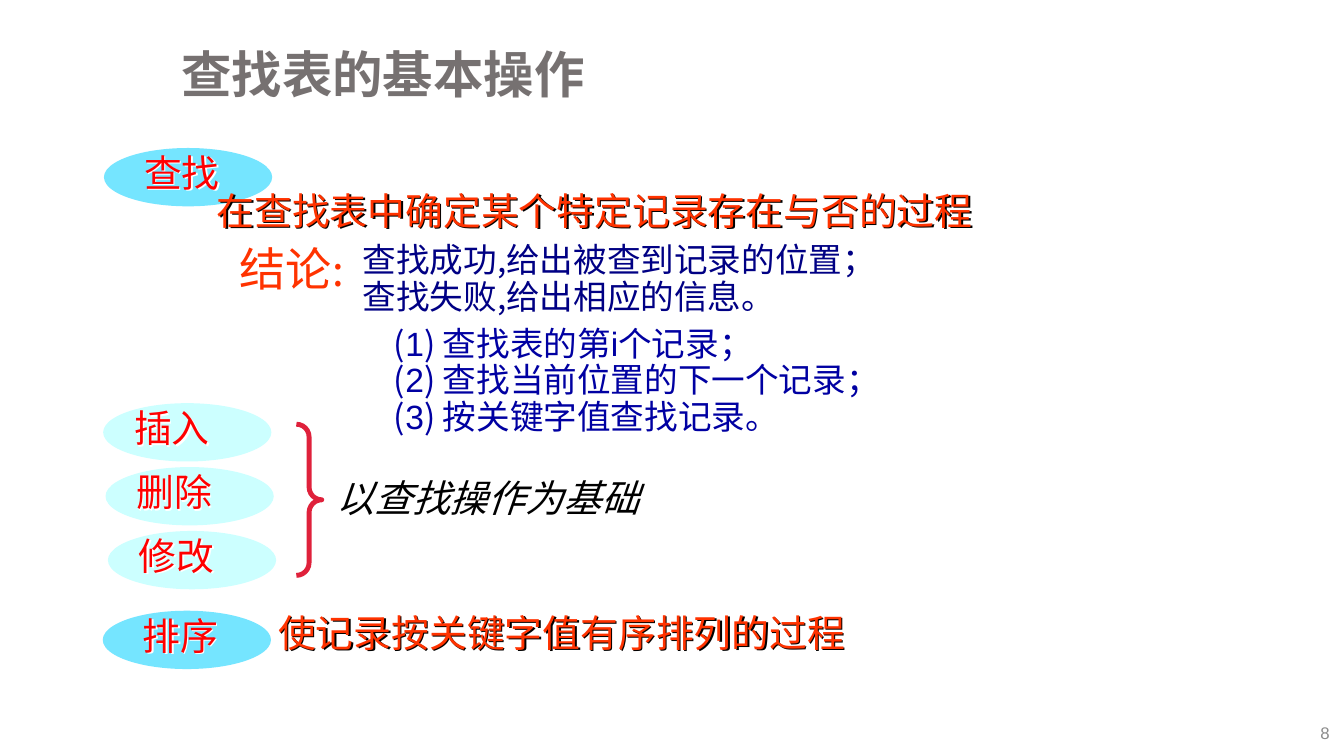
from itertools import groupby
from lxml.etree import SubElement
from pptx import Presentation
from pptx.dml.color import RGBColor
from pptx.enum.shapes import MSO_SHAPE
from pptx.enum.text import MSO_ANCHOR, PP_ALIGN
from pptx.oxml.ns import qn
from pptx.util import Cm, Pt

RED = RGBColor(0xFF, 0x00, 0x00)
ORANGE = RGBColor(0xFF, 0x33, 0x00)
NAVY = RGBColor(0x00, 0x00, 0x84)
BLUE = RGBColor(0x00, 0x00, 0xA2)
GREY = RGBColor(0x76, 0x71, 0x71)
SILVER = RGBColor(0x8C, 0x8C, 0x8C)
BLACK = RGBColor(0x00, 0x00, 0x00)
WHITE = RGBColor(0xFF, 0xFF, 0xFF)
CYAN = RGBColor(0x75, 0xE5, 0xFF)
PALE = RGBColor(0xCC, 0xFF, 0xFF)
CRIMSON = RGBColor(0xDF, 0x21, 0x3B)
LATIN = "Arial"
HAN = "Noto Sans CJK SC"


def add_run(para, words, size, color, bold=False, italic=False):
    for plain, chars in groupby(words, lambda c: c.isascii() and c.isalnum()):
        run = para.add_run()
        run.text = "".join(chars)
        font = run.font
        font.name = LATIN if plain else HAN
        font.size = Pt(size)
        font.bold = bold
        font.italic = italic
        font.color.rgb = color
        SubElement(font._element, qn("a:ea")).set("typeface", HAN)


def add_shade(shape, color):
    effects = SubElement(shape._element.spPr, qn("a:effectLst"))
    shade = SubElement(effects, qn("a:outerShdw"), dist="17961",
                       dir="2700000", algn="ctr", rotWithShape="0")
    SubElement(shade, qn("a:srgbClr")).set("val", str(color))


def add_text(slide, words, left, top, width, height, size=27, color=RED,
             shade=None, align=PP_ALIGN.LEFT, anchor=MSO_ANCHOR.TOP,
             spacing=1.0, bold=False, italic=False):
    box = slide.shapes.add_textbox(Cm(left), Cm(top), Cm(width), Cm(height))
    frame = box.text_frame
    frame.word_wrap = True
    frame.vertical_anchor = anchor
    for index, line in enumerate(words.split("\n")):
        para = frame.add_paragraph() if index else frame.paragraphs[0]
        para.alignment = align
        para.line_spacing = spacing
        add_run(para, line, size, color, bold, italic)
    if shade is not None:
        add_shade(box, shade)
    return frame


def add_label(slide, words, left, top, fill, indent):
    oval = slide.shapes.add_shape(MSO_SHAPE.OVAL, Cm(left), Cm(top),
                                  Cm(4.24), Cm(1.47))
    oval.shadow.inherit = False
    oval.fill.solid()
    oval.fill.fore_color.rgb = fill
    oval.line.fill.background()
    add_text(slide, words, left + indent, top - 0.08, 3.6, 1.4, shade=WHITE)


def add_brace(slide, left, top, width, height):
    brace = slide.shapes.add_shape(MSO_SHAPE.RIGHT_BRACE, Cm(left), Cm(top),
                                   Cm(width), Cm(height))
    brace.shadow.inherit = False
    brace.adjustments[0] = 0.5
    brace.adjustments[1] = 0.5
    brace.fill.background()
    brace.line.color.rgb = CRIMSON
    brace.line.width = Pt(3.5)


def main():
    deck = Presentation()
    deck.slide_width = Cm(33.87)
    deck.slide_height = Cm(19.05)
    slide = deck.slides.add_slide(deck.slide_layouts[6])

    add_text(slide, "查找表的基本操作", 4.32, 0.86, 28.58, 2.16, size=36,
             color=GREY, bold=True, anchor=MSO_ANCHOR.MIDDLE, spacing=0.9)
    add_text(slide, "8", 26.14, 18.08, 7.62, 0.79, size=12, color=SILVER,
             align=PP_ALIGN.RIGHT, anchor=MSO_ANCHOR.MIDDLE)

    add_label(slide, "查找", 2.62, 3.73, CYAN, 0.76)
    add_text(slide, "在查找表中确定某个特定记录存在与否的过程",
             5.21, 4.6, 19.89, 1.4, color=ORANGE, shade=BLACK)
    add_text(slide, "查找成功,给出被查到记录的位置；\n查找失败,给出相应的信息。",
             8.89, 6.02, 15.04, 2.11, size=24, color=NAVY, spacing=0.9)
    result = add_text(slide, "结论", 5.79, 5.94, 4.22, 1.65, size=33,
                      color=ORANGE)
    add_run(result.paragraphs[0], ":", 30, ORANGE)
    add_text(slide, "(1) 查找表的第i个记录；\n(2) 查找当前位置的下一个记录；\n"
             "(3) 按关键字值查找记录。",
             9.68, 8.13, 15.88, 3.02, size=24, color=BLUE, spacing=0.9)

    for index, words in enumerate(("插入", "删除", "修改")):
        add_label(slide, words, 2.6 + 0.06 * index, 10.16 + 1.61 * index,
                  PALE, 0.53)
    add_brace(slide, 7.47, 10.69, 0.64, 3.81)
    add_text(slide, "以查找操作为基础", 8.23, 11.84, 9.17, 1.4,
             color=BLACK, italic=True)

    add_label(slide, "排序", 2.59, 15.39, CYAN, 0.76)
    add_text(slide, "使记录按关键字值有序排列的过程",
             6.76, 15.24, 16.15, 1.4, color=ORANGE, shade=BLACK)
    deck.save("out.pptx")


if __name__ == "__main__":
    main()
